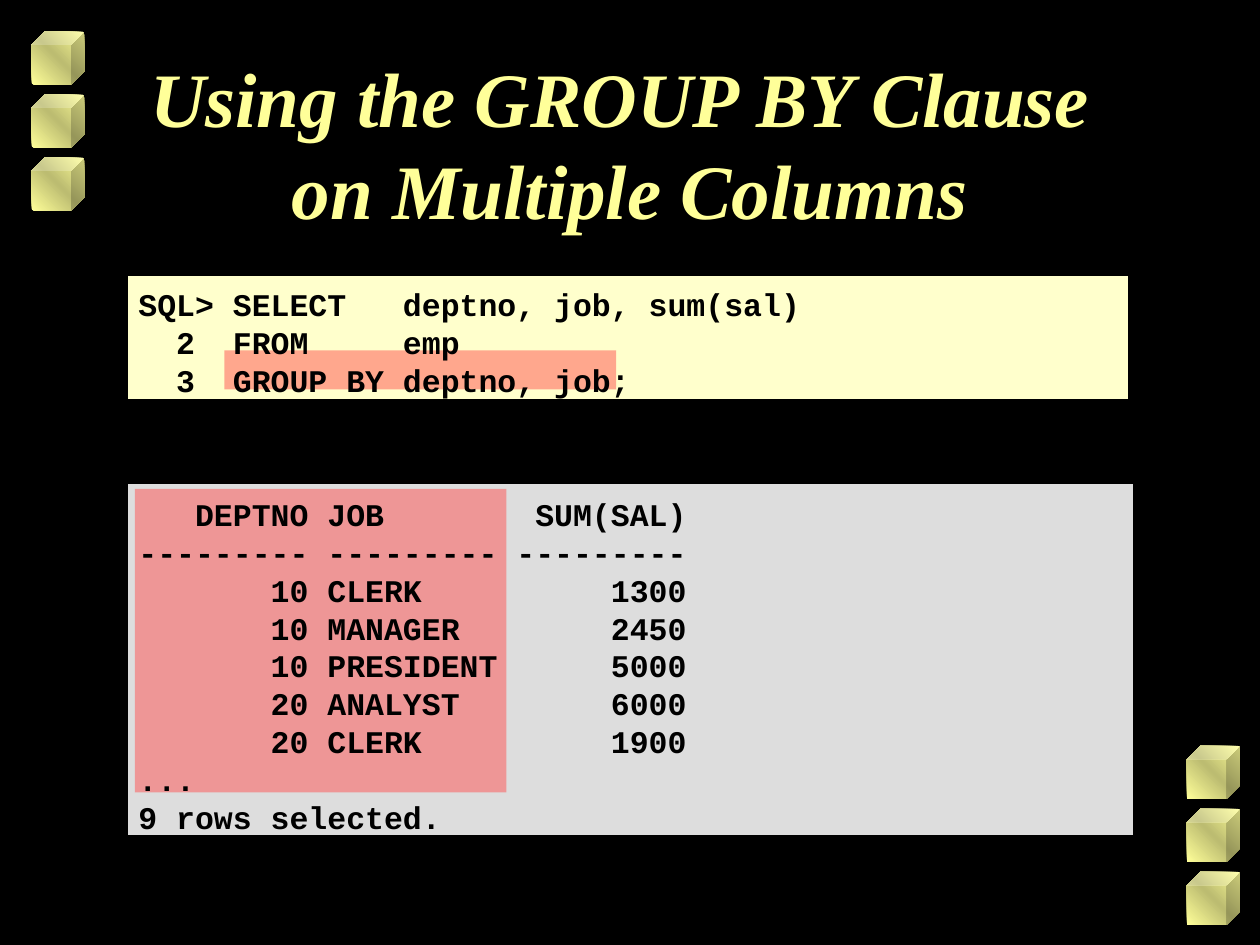
import copy

import pptx
import pptx.dml.color
import pptx.enum.shapes
import pptx.enum.text
import pptx.oxml
import pptx.oxml.ns
import pptx.util

Inches = pptx.util.Inches
Pt = pptx.util.Pt
ALIGN = pptx.enum.text.PP_ALIGN
ANCHOR = pptx.enum.text.MSO_ANCHOR
SHAPES = pptx.enum.shapes.MSO_SHAPE

TITLE_FONT = {"name": "Times New Roman", "size": Pt(44), "bold": True, "italic": True}
CODE_FONT = {"name": "Courier New", "size": Pt(18), "bold": True}
LINE_HEIGHT = 1.2

QUERY = [
    ("SQL>", "SELECT", "deptno, job, sum(sal)"),
    ("2 ", "FROM", "emp"),
    ("3 ", "GROUP BY", "deptno, job;"),
]
RESULT = [
    ("DEPTNO", "JOB", "SUM(SAL)"),
    ("-" * 9, "-" * 9, "-" * 9),
    (10, "CLERK", 1300),
    (10, "MANAGER", 2450),
    (10, "PRESIDENT", 5000),
    (20, "ANALYST", 6000),
    (20, "CLERK", 1900),
]


def rgb(color):
    return pptx.dml.color.RGBColor.from_string(color)


def set_attributes(target, values):
    for name, value in values.items():
        setattr(target, name, value)


def add_shape(slide, kind, left, top, width, height):
    shape = slide.shapes.add_shape(
        kind, Inches(left), Inches(top), Inches(width), Inches(height))
    shape.shadow.inherit = False
    shape.line.fill.background()
    return shape


def add_cube(slide, left, top):
    cube = add_shape(slide, SHAPES.CUBE, left, top, 0.42, 0.42)
    cube.fill.gradient()
    cube.fill.gradient_angle = 45
    stop_list = cube._element.spPr.find(".//" + pptx.oxml.ns.qn("a:gsLst"))
    stop_list.insert(1, copy.deepcopy(stop_list[0]))
    colors = ("FFFF99", "BCBC71", "FFFF99")
    for stop, color, position in zip(cube.fill.gradient_stops, colors, (0, 0.5, 1)):
        stop.color.rgb = rgb(color)
        stop.position = position


def add_panel(slide, left, top, width, height, color):
    panel = add_shape(slide, SHAPES.RECTANGLE, left, top, width, height)
    panel.fill.solid()
    panel.fill.fore_color.rgb = rgb(color)
    panel.line.color.rgb = rgb("000000")
    panel.line.width = Pt(2)


def add_highlight(slide, left, top, width, height):
    """Add a half-transparent red rectangle."""
    highlight = add_shape(slide, SHAPES.RECTANGLE, left, top, width, height)
    highlight.fill.solid()
    highlight.fill.fore_color.rgb = rgb("FF5050")
    color = highlight._element.spPr.find(".//" + pptx.oxml.ns.qn("a:srgbClr"))
    color.append(pptx.oxml.parse_xml(
        f'<a:alpha {pptx.oxml.ns.nsdecls("a")} val="50000"/>'))


def add_text(slide, left, top, width, height, lines, font, color, frame_format, align):
    box = slide.shapes.add_textbox(
        Inches(left), Inches(top), Inches(width), Inches(height))
    frame = box.text_frame
    set_attributes(frame, frame_format)
    frame.text = "\n".join(lines)
    for paragraph in frame.paragraphs:
        paragraph.alignment = align
        paragraph.line_spacing = Pt(font["size"].pt * LINE_HEIGHT)
        for run in paragraph.runs:
            set_attributes(run.font, font)
            run.font.color.rgb = rgb(color)


def add_title(slide, text):
    frame_format = {"word_wrap": True, "vertical_anchor": ANCHOR.TOP,
                    "margin_top": Inches(0.07)}
    add_text(slide, 0.75, 0.33, 8.5, 1.25, [text], TITLE_FONT, "FFFF99",
             frame_format, ALIGN.CENTER)


def add_listing(slide, left, top, width, height, lines):
    frame_format = {"word_wrap": False, "vertical_anchor": ANCHOR.MIDDLE,
                    "margin_top": Inches(0.1), "margin_bottom": Inches(0.02)}
    add_text(slide, left, top, width, height, lines, CODE_FONT, "000000",
             frame_format, ALIGN.LEFT)


def main():
    presentation = pptx.Presentation()
    presentation.slide_width = Inches(10)
    presentation.slide_height = Inches(7.5)
    slide = presentation.slides.add_slide(presentation.slide_layouts[6])
    slide.background.fill.solid()
    slide.background.fill.fore_color.rgb = rgb("000000")

    for left, first_top in ((0.25, 0.25), (9.42, 5.92)):
        for index in range(3):
            add_cube(slide, left, first_top + 0.5 * index)

    add_panel(slide, 1, 2.18, 7.97, 1, "FFFFCC")
    add_panel(slide, 1, 3.83, 8.01, 2.81, "DDDDDD")
    add_title(slide, "Using the GROUP BY Clause \von Multiple Columns")
    add_highlight(slide, 1.78, 2.78, 3.11, 0.31)
    add_highlight(slide, 1.07, 3.88, 2.95, 2.41)

    query_lines = [f"{prompt:>4} {keyword:<8} {columns}"
                   for prompt, keyword, columns in QUERY]
    result_lines = [f"{department:>9} {job:<9} {total:>9}"
                    for department, job, total in RESULT]
    add_listing(slide, 1, 2.16, 8, 1.03, query_lines)
    add_listing(slide, 1, 3.82, 8.04, 2.84,
                result_lines + ["...", "9 rows selected."])
    presentation.save("out.pptx")


if __name__ == "__main__":
    main()
